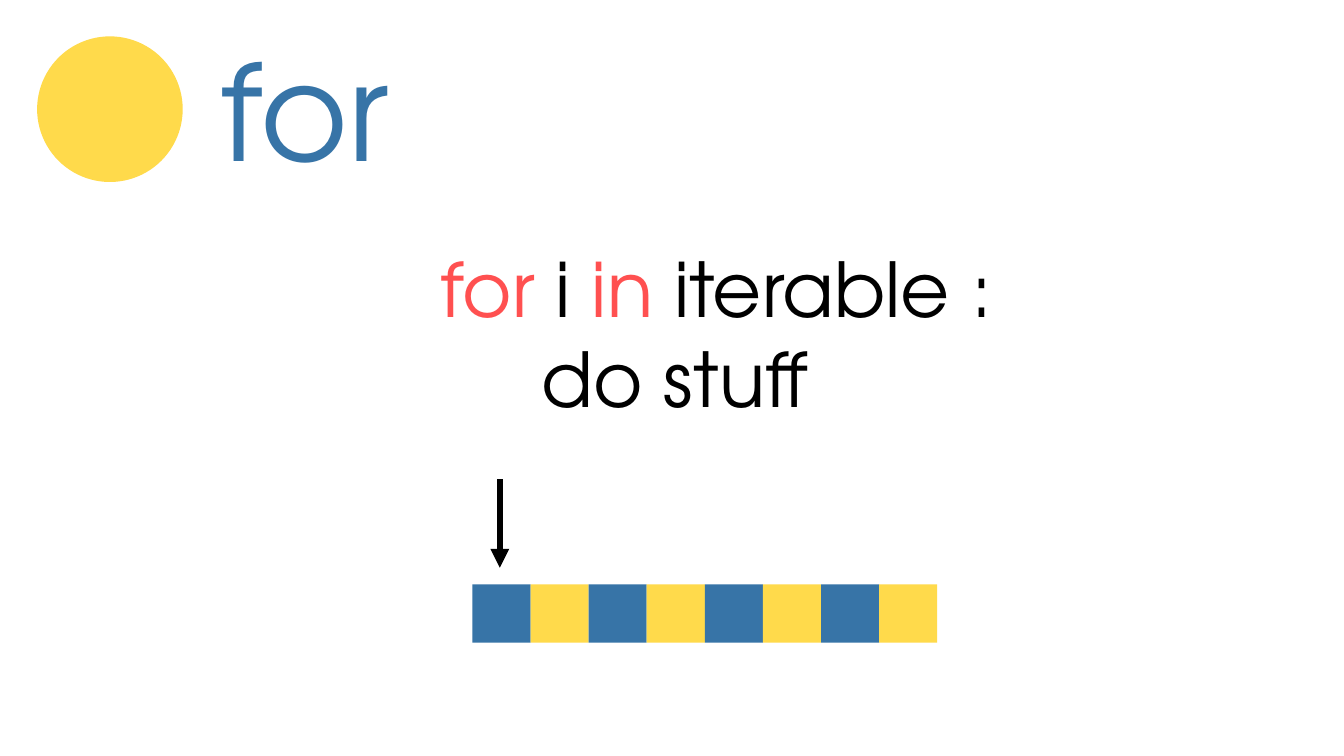
import pptx
import pptx.util
import pptx.dml.color
import pptx.enum.shapes
import pptx.enum.text
import pptx.oxml
import pptx.oxml.ns

PX = 6350
FONT = "TeX Gyre Adventor"
BLUE = pptx.dml.color.RGBColor(0x37, 0x74, 0xA7)
YELLOW = pptx.dml.color.RGBColor(0xFF, 0xDA, 0x4B)
RED = pptx.dml.color.RGBColor(0xFF, 0x50, 0x50)
BLACK = pptx.dml.color.RGBColor(0, 0, 0)
CELL_COUNT = 8
CELL_SIZE = 83


def px(*lengths):
    return [pptx.util.Emu(length * PX) for length in lengths]


def add_run(paragraph, text, *, size, color):
    run = paragraph.add_run()
    run.text = text
    run.font.name = FONT
    run.font.size = pptx.util.Pt(size)
    run.font.color.rgb = color


def set_frame(frame, *, wrap=True):
    frame.word_wrap = wrap
    frame.auto_size = pptx.enum.text.MSO_AUTO_SIZE.NONE
    frame.vertical_anchor = pptx.enum.text.MSO_ANCHOR.TOP
    frame.paragraphs[0].alignment = pptx.enum.text.PP_ALIGN.LEFT


def set_title(slide, text, left, top, width, height):
    title = slide.shapes.title
    title.left, title.top, title.width, title.height = px(left, top, width, height)
    set_frame(title.text_frame, wrap=False)
    add_run(title.text_frame.paragraphs[0], text, size=96, color=BLUE)


def add_loop_text(slide, left, top, width, height):
    frame = slide.shapes.add_textbox(*px(left, top, width, height)).text_frame
    set_frame(frame)
    header = frame.paragraphs[0]
    for text, color in (("for ", RED), ("i ", BLACK), ("in ", RED), ("iterable :", BLACK)):
        add_run(header, text, size=54, color=color)
    body = frame.add_paragraph()
    body._p.get_or_add_pPr().set("marL", str(pptx.util.Inches(1)))
    add_run(body, "do stuff", size=54, color=BLACK)


def add_filled(shapes, kind, left, top, size, color):
    shape = shapes.add_shape(kind, *px(left, top, size, size))
    shape.shadow.inherit = False
    shape.fill.solid()
    shape.fill.fore_color.rgb = color
    shape.line.fill.background()


def add_cells(slide, left, top):
    group = slide.shapes.add_group_shape()
    for index in range(CELL_COUNT):
        add_filled(group.shapes, pptx.enum.shapes.MSO_SHAPE.RECTANGLE,
                   left + index * CELL_SIZE, top, CELL_SIZE, (BLUE, YELLOW)[index % 2])


def add_arrow(slide, x, start, end):
    arrow = slide.shapes.add_connector(
        pptx.enum.shapes.MSO_CONNECTOR.STRAIGHT, *px(x, start, x, end))
    arrow.line.color.rgb = BLACK
    arrow.line.width = pptx.util.Pt(4.5)
    head = pptx.oxml.parse_xml(
        f'<a:tailEnd {pptx.oxml.ns.nsdecls("a")} type="triangle"/>')
    arrow.line._get_or_add_ln().append(head)
    effects = pptx.oxml.parse_xml(f'<a:effectLst {pptx.oxml.ns.nsdecls("a")}/>')
    arrow._element.spPr.append(effects)


def main():
    presentation = pptx.Presentation()
    presentation.slide_width, presentation.slide_height = px(1920, 1080)
    slide = presentation.slides.add_slide(presentation.slide_layouts[5])
    add_filled(slide.shapes, pptx.enum.shapes.MSO_SHAPE.OVAL, 53, 52, 208, YELLOW)
    set_title(slide, "for", 301, 32, 300, 248)
    add_loop_text(slide, 615, 338, 982, 276)
    add_cells(slide, 675, 835)
    add_arrow(slide, 714, 685, 811)
    presentation.save("out.pptx")


if __name__ == "__main__":
    main()
